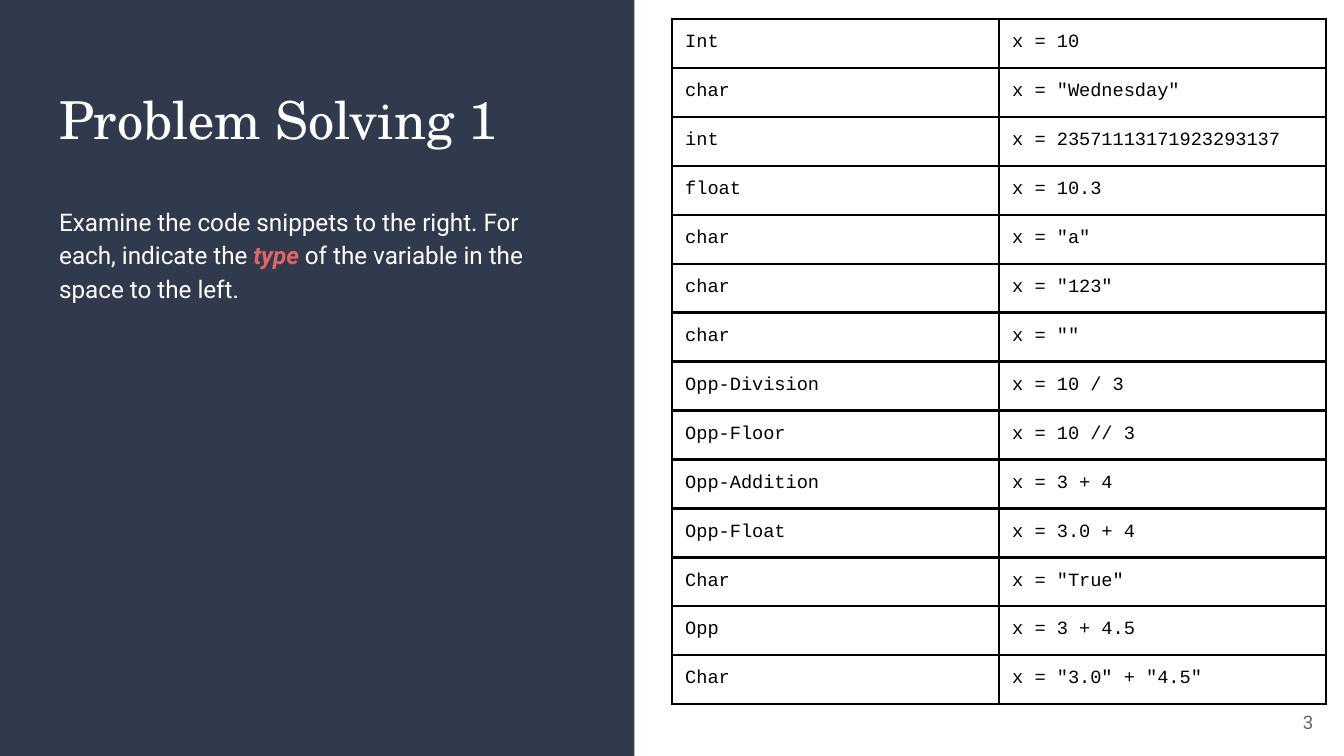
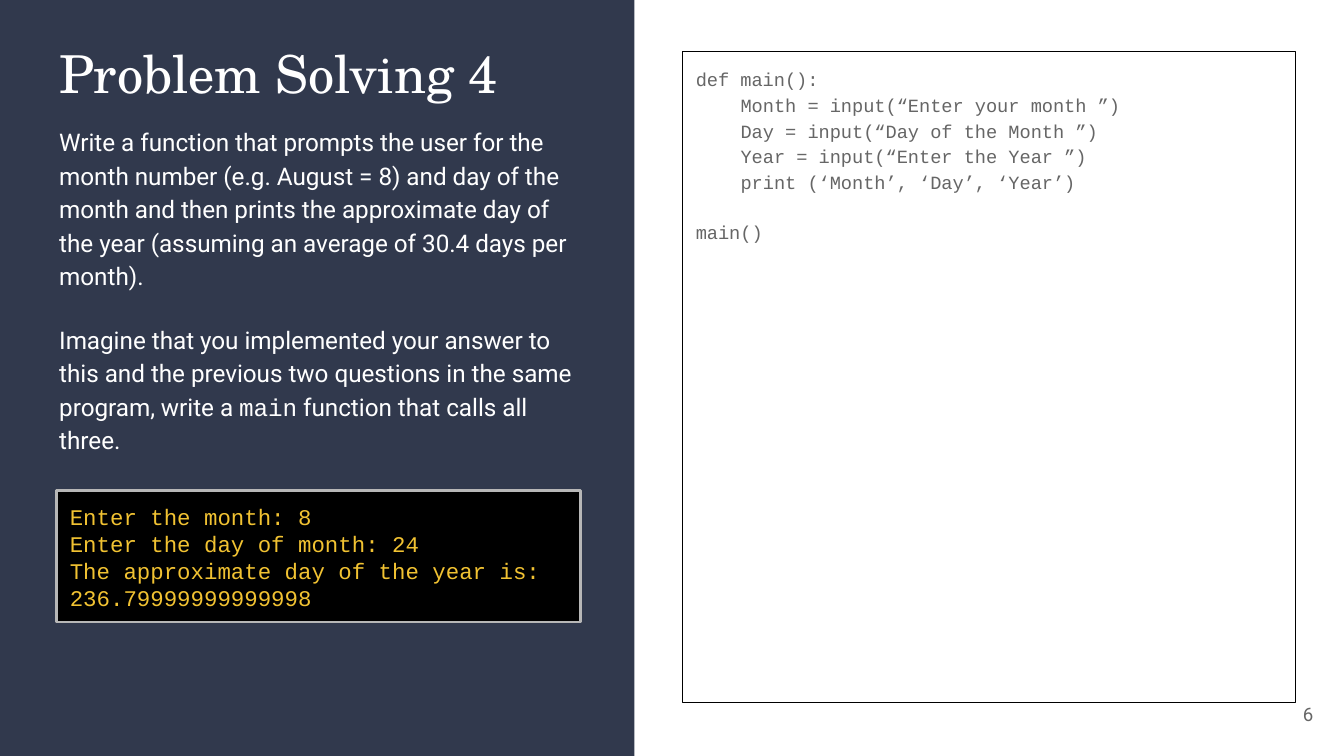
"""Build two Python problem-solving slides with a dark left panel."""
from lxml.etree import SubElement
from pptx import Presentation
from pptx.dml.color import RGBColor
from pptx.enum.shapes import MSO_SHAPE
from pptx.enum.text import MSO_ANCHOR, PP_ALIGN
from pptx.oxml.ns import qn
from pptx.util import Cm, Pt

NAVY, WHITE, BLACK, GRAY = "31394D", "FFFFFF", "000000", "666666"
SERIF, SANS, MONO = "TeX Gyre Schola", "Roboto", "Courier New"
INSET = 0.25
TITLE = (SERIF, 28, WHITE)
BODY = (SANS, 13, WHITE)
KEYWORD = (SANS, 13, "E06666")
BODY_CODE = (MONO, 13, WHITE)
NUMBER = (SANS, 10, GRAY)
CELL = (MONO, 10, BLACK)
CODE = (MONO, 10, GRAY)
CONSOLE = (MONO, 12, "F1C232")


def rgb(value):
    return RGBColor.from_string(value)


def write(tf, paragraphs, spacing=None, align=PP_ALIGN.LEFT, anchor=MSO_ANCHOR.TOP):
    tf.word_wrap = True
    tf.vertical_anchor = anchor
    tf.margin_left = tf.margin_right = tf.margin_top = tf.margin_bottom = Cm(INSET)
    for i, runs in enumerate(paragraphs):
        p = tf.paragraphs[0] if i == 0 else tf.add_paragraph()
        p.alignment = align
        p.line_spacing = spacing
        for text, (font, size, color) in runs:
            r = p.add_run()
            r.text = text
            r.font.name = font
            r.font.size = Pt(size)
            r.font.color.rgb = rgb(color)
            if color == KEYWORD[2]:
                r.font.bold = r.font.italic = True


prs = Presentation()
prs.slide_width, prs.slide_height = Cm(25.4), Cm(14.29)

slides = []
for title, title_top, number, number_top in [
    ("Problem Solving 1", 1.4, "3", 13.11),
    ("Problem Solving 4", 0.53, "6", 12.95),
]:
    s = prs.slides.add_slide(prs.slide_layouts[6])
    panel = s.shapes.add_shape(MSO_SHAPE.RECTANGLE, 0, 0, Cm(11.99), prs.slide_height)
    panel.shadow.inherit = False
    panel.fill.solid()
    panel.fill.fore_color.rgb = rgb(NAVY)
    panel.line.fill.background()
    sp = s.shapes.add_textbox(Cm(0.87), Cm(title_top), Cm(10.29), Cm(1.78))
    write(sp.text_frame, [[(title, TITLE)]])
    sp = s.shapes.add_textbox(Cm(23.55), Cm(number_top), Cm(1.52), Cm(1.09))
    write(sp.text_frame, [[(number, NUMBER)]], align=PP_ALIGN.RIGHT, anchor=MSO_ANCHOR.MIDDLE)
    slides.append(s)
types_slide, function_slide = slides

sp = types_slide.shapes.add_textbox(Cm(0.87), Cm(3.58), Cm(10.29), Cm(7.49))
write(sp.text_frame, [[
    ("Examine the code snippets to the right. For each, indicate the ", BODY),
    ("type ", KEYWORD),
    ("of the variable in the space to the left.", BODY),
]], 1.15)

snippets = [
    ("Int", "x = 10"),
    ("char", 'x = "Wednesday"'),
    ("int", "x = 23571113171923293137"),
    ("float", "x = 10.3"),
    ("char", 'x = "a"'),
    ("char", 'x = "123"'),
    ("char", 'x = ""'),
    ("Opp-Division", "x = 10 / 3"),
    ("Opp-Floor", "x = 10 // 3"),
    ("Opp-Addition", "x = 3 + 4"),
    ("Opp-Float", "x = 3.0 + 4"),
    ("Char", 'x = "True"'),
    ("Opp", "x = 3 + 4.5"),
    ("Char", 'x = "3.0" + "4.5"'),
]
row_height = 0.9
frame = types_slide.shapes.add_table(
    len(snippets), 2, Cm(12.7), Cm(0.36), Cm(12.36), Cm(row_height * len(snippets)))
table = frame.table
table.first_row = table.horz_banding = False
for row, values in zip(table.rows, snippets):
    row.height = Cm(row_height)
    for cell, value in zip(row.cells, values):
        write(cell.text_frame, [[(value, CELL)]])
        cell.margin_left = cell.margin_right = Cm(INSET)
        cell.margin_top = cell.margin_bottom = Cm(INSET)
        tcPr = cell._tc.get_or_add_tcPr()
        for side in ("a:lnL", "a:lnR", "a:lnT", "a:lnB"):
            ln = SubElement(tcPr, qn(side), w=str(Pt(1.5)))
            SubElement(SubElement(ln, qn("a:solidFill")), qn("a:srgbClr"), val=BLACK)
        cell.fill.background()

sp = function_slide.shapes.add_textbox(Cm(0.87), Cm(2.08), Cm(10.29), Cm(6.55))
write(sp.text_frame, [
    [("Write a function that prompts the user for the month number (e.g. August = 8) "
      "and day of the month and then prints the approximate day of the year "
      "(assuming an average of 30.4 days per month).", BODY)],
    [("Imagine that you implemented your answer to this and the previous two "
      "questions in the same program, write a ", BODY),
     ("main", BODY_CODE),
     (" function that calls all three.", BODY)],
], 1.15)
sp.text_frame.paragraphs[1].space_before = Pt(16)

code = [
    (0, "def main():"),
    (1, "Month = input(“Enter your month ”)"),
    (1, "Day = input(“Day of the Month ”)"),
    (1, "Year = input(“Enter the Year ”)"),
    (1, "print (‘Month’, ‘Day’, ‘Year’)"),
    (0, "main()"),
]
console = [
    "Enter the month: 8",
    "Enter the day of month: 24",
    "The approximate day of the year is: 236.79999999999998",
]
for box, fill, line, width, lines, style, spacing in [
    ((12.9, 0.97, 11.58, 12.31), None, BLACK, 0.75, [text for _, text in code], CODE, 1.15),
    ((1.07, 9.27, 9.91, 2.49), BLACK, "B7B7B7", 1.5, console, CONSOLE, None),
]:
    sp = function_slide.shapes.add_shape(MSO_SHAPE.RECTANGLE, *map(Cm, box))
    sp.shadow.inherit = False
    if fill:
        sp.fill.solid()
        sp.fill.fore_color.rgb = rgb(fill)
    else:
        sp.fill.background()
    sp.line.color.rgb = rgb(line)
    sp.line.width = Pt(width)
    write(sp.text_frame, [[(text, style)] for text in lines], spacing)
    if lines is not console:
        for p, (level, _) in zip(sp.text_frame.paragraphs, code):
            p._p.get_or_add_pPr().set("marL", str(Pt(24 * level)))
        p.space_before = Pt(13)

prs.save("out.pptx")
